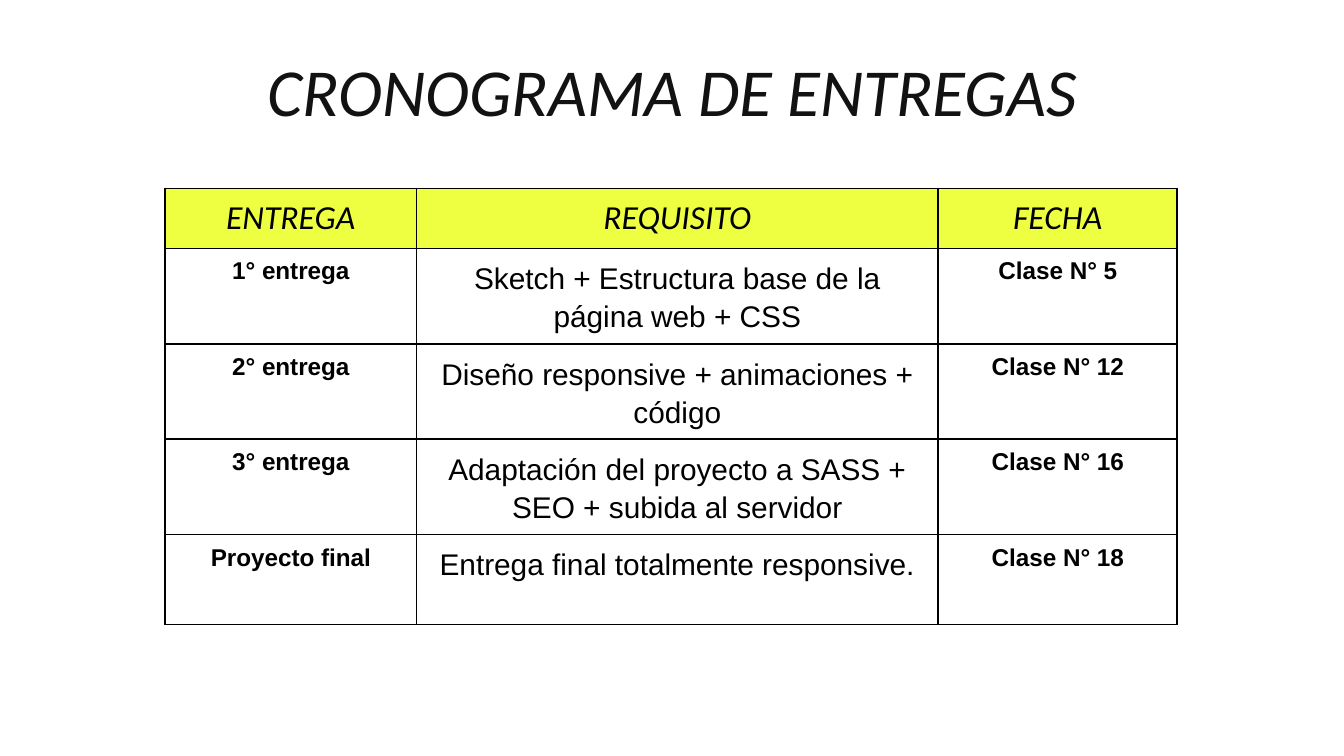
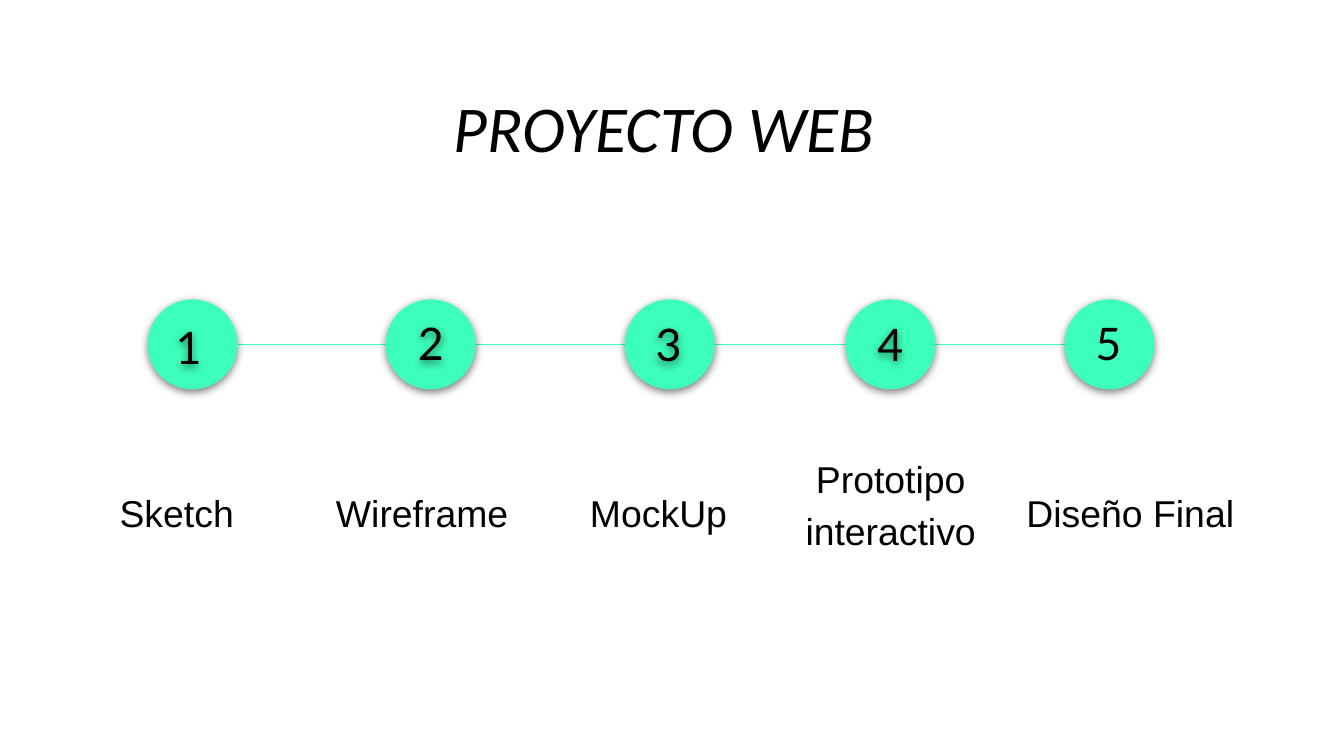
"""Builds the delivery schedule and the web project stages."""
from dataclasses import dataclass
from typing import Any, Optional

import lxml.etree
import pptx
import pptx.dml.color
import pptx.enum.shapes
import pptx.enum.text
import pptx.oxml.ns
import pptx.util

Cm = pptx.util.Cm
Pt = pptx.util.Pt
RGBColor = pptx.dml.color.RGBColor
Align = pptx.enum.text.PP_ALIGN
Anchor = pptx.enum.text.MSO_ANCHOR
qn = pptx.oxml.ns.qn

BLACK = RGBColor(0x00, 0x00, 0x00)
CHARCOAL = RGBColor(0x12, 0x12, 0x12)
YELLOW = RGBColor(0xEE, 0xFF, 0x41)
MINT = RGBColor(0x3D, 0xFF, 0xBC)

BOX_INSET = Cm(0.25)
CELL_INSET = Cm(0.18)
COLUMN_WIDTHS = (4.75, 9.86, 4.52)
ROW_HEIGHTS = (0.64, 1.7, 1.7, 1.04, 1.7)
CIRCLE_TOP = 5.66
CIRCLE_SIZE = 1.7
LABEL_MIDDLE = 9.47


@dataclass(frozen=True)
class TextStyle:
    """Font and paragraph settings of a text."""

    font: str
    size: float
    color: RGBColor = BLACK
    bold: bool = False
    italic: bool = False
    align: Optional[Align] = Align.CENTER
    line_spacing: Optional[float] = None
    space_after: Optional[float] = None


@dataclass(frozen=True)
class Box:
    """Position and size in centimetres."""

    left: float
    top: float
    width: float
    height: float


@dataclass(frozen=True)
class Stage:
    """One numbered stage with its label."""

    label: str
    circle_left: float
    number_dx: float
    number_dy: float
    label_left: float
    label_width: float
    label_height: float
    style: TextStyle
    grouped: bool = True


HEADER = TextStyle("Calibri", 18, italic=True)
KEY = TextStyle("Arial", 13, bold=True)
REQUIREMENT = TextStyle("Arial", 16, line_spacing=1.15)
NUMBER = TextStyle("Lato", 24, align=None)
LABEL = TextStyle("Arial", 20, align=Align.JUSTIFY, line_spacing=1.5, space_after=11)
WRAPPED_LABEL = TextStyle("Arial", 20, line_spacing=1.15, space_after=11)
SCHEDULE_TITLE = TextStyle("Calibri", 36, CHARCOAL, italic=True)
PROJECT_TITLE = TextStyle("Calibri", 35, italic=True, line_spacing=1.5, space_after=11)

SCHEDULE = (
    ("ENTREGA", "REQUISITO", "FECHA"),
    ("1° entrega", "Sketch + Estructura base de la página web + CSS", "Clase N° 5"),
    ("2° entrega", "Diseño responsive + animaciones + código", "Clase N° 12"),
    ("3° entrega", "Adaptación del proyecto a SASS + SEO + subida al servidor", "Clase N° 16"),
    ("Proyecto final", "Entrega final totalmente responsive.", "Clase N° 18"),
)

STAGES = (
    Stage("Sketch", 2.79, 0.28, 0.13, 2.01, 3.3, 2.97, LABEL),
    Stage("Wireframe", 7.29, 0.36, 0.06, 6.1, 4.45, 2.11, LABEL),
    Stage("MockUp", 11.81, 0.33, 0.08, 10.9, 3.53, 1.93, LABEL),
    Stage("Prototipo interactivo", 15.98, 0.35, 0.08, 14.61, 4.45, 2.49, WRAPPED_LABEL),
    Stage("Diseño Final", 20.12, 0.33, 0.06, 19.15, 4.9, 1.52, LABEL, grouped=False),
)


def write_text(text_frame: Any, text: str, style: TextStyle) -> None:
    """Put one styled paragraph in a text frame."""
    text_frame.text = text
    paragraph = text_frame.paragraphs[0]
    paragraph.alignment = style.align
    paragraph.line_spacing = style.line_spacing
    if style.space_after is not None:
        paragraph.space_after = Pt(style.space_after)
    for run in paragraph.runs:
        run.font.name = style.font
        run.font.size = Pt(style.size)
        run.font.bold = style.bold
        run.font.italic = style.italic
        run.font.color.rgb = style.color


def set_margins(target: Any, inset: int) -> None:
    """Give a cell or text frame equal margins."""
    target.margin_left = target.margin_right = inset
    target.margin_top = target.margin_bottom = inset


def add_text(shapes: Any, box: Box, text: str, style: TextStyle,
             anchor: Anchor = Anchor.MIDDLE) -> Any:
    """Add a wrapping text box."""
    shape = shapes.add_textbox(Cm(box.left), Cm(box.top), Cm(box.width), Cm(box.height))
    text_frame = shape.text_frame
    text_frame.word_wrap = True
    text_frame.vertical_anchor = anchor
    set_margins(text_frame, BOX_INSET)
    write_text(text_frame, text, style)
    return shape


def add_color(parent: Any, color: RGBColor) -> Any:
    """Append a colour element."""
    return lxml.etree.SubElement(parent, qn("a:srgbClr"), val=str(color))


def add_shadow(shape: Any) -> None:
    """Cast a soft shadow straight down."""
    shape.shadow.inherit = False
    effects = shape.element.spPr.find(qn("a:effectLst"))
    shadow = lxml.etree.SubElement(
        effects, qn("a:outerShdw"), blurRad=str(Pt(4.5)), dist=str(Pt(1.5)),
        dir="5400000", algn="bl", rotWithShape="0")
    lxml.etree.SubElement(add_color(shadow, BLACK), qn("a:alpha"), val="50000")


def add_borders(cell: Any) -> None:
    """Outline a cell on its four sides."""
    properties = cell._tc.get_or_add_tcPr()
    for side in ("lnL", "lnR", "lnT", "lnB"):
        line = lxml.etree.SubElement(properties, qn(f"a:{side}"), w=str(Pt(1)))
        add_color(lxml.etree.SubElement(line, qn("a:solidFill")), BLACK)


def add_schedule(slide: Any) -> None:
    """Add the delivery table."""
    table = slide.shapes.add_table(
        len(SCHEDULE), len(COLUMN_WIDTHS), Cm(3.12), Cm(3.56),
        Cm(sum(COLUMN_WIDTHS)), Cm(sum(ROW_HEIGHTS))).table
    table.first_row = table.horz_banding = False
    for column, width in zip(table.columns, COLUMN_WIDTHS):
        column.width = Cm(width)
    for row, height in zip(table.rows, ROW_HEIGHTS):
        row.height = Cm(height)
    for row_index, texts in enumerate(SCHEDULE):
        styles = (KEY, REQUIREMENT, KEY) if row_index else (HEADER,) * 3
        for column_index, (text, style) in enumerate(zip(texts, styles)):
            cell = table.cell(row_index, column_index)
            set_margins(cell, CELL_INSET)
            add_borders(cell)
            if row_index:
                cell.fill.background()
            else:
                cell.fill.solid()
                cell.fill.fore_color.rgb = YELLOW
            write_text(cell.text_frame, text, style)


def add_timeline(slide: Any) -> None:
    """Join the first circle to the last."""
    middle = Cm(CIRCLE_TOP + CIRCLE_SIZE / 2)
    connector = slide.shapes.add_connector(
        pptx.enum.shapes.MSO_CONNECTOR.STRAIGHT,
        Cm(STAGES[0].circle_left + CIRCLE_SIZE), middle, Cm(STAGES[-1].circle_left), middle)
    connector.line.color.rgb = MINT
    connector.line.width = Pt(0.75)
    lxml.etree.SubElement(connector.element.spPr, qn("a:effectLst"))


def add_stage(slide: Any, number: int, stage: Stage) -> None:
    """Add a numbered circle and its label."""
    shapes = slide.shapes.add_group_shape().shapes if stage.grouped else slide.shapes
    circle = shapes.add_shape(
        pptx.enum.shapes.MSO_SHAPE.OVAL, Cm(stage.circle_left), Cm(CIRCLE_TOP),
        Cm(CIRCLE_SIZE), Cm(CIRCLE_SIZE))
    circle.fill.solid()
    circle.fill.fore_color.rgb = MINT
    circle.line.fill.background()
    add_shadow(circle)
    number_box = Box(stage.circle_left + stage.number_dx, CIRCLE_TOP + stage.number_dy, 0.76, 1.02)
    number_shape = add_text(shapes, number_box, str(number), NUMBER, Anchor.TOP)
    if stage.grouped:
        add_shadow(number_shape)
    label_box = Box(stage.label_left, LABEL_MIDDLE - stage.label_height / 2,
                    stage.label_width, stage.label_height)
    add_text(slide.shapes, label_box, stage.label, stage.style)


def main() -> None:
    """Build and save the presentation."""
    presentation = pptx.Presentation()
    presentation.slide_width = Cm(25.4)
    presentation.slide_height = Cm(14.29)
    blank = presentation.slide_layouts[6]

    slide = presentation.slides.add_slide(blank)
    add_schedule(slide)
    add_text(slide.shapes, Box(3.89, 0.33, 17.63, 2.74), "CRONOGRAMA DE ENTREGAS", SCHEDULE_TITLE)

    slide = presentation.slides.add_slide(blank)
    add_timeline(slide)
    add_text(slide.shapes, Box(3.63, 0.66, 18.11, 1.93), "PROYECTO WEB ", PROJECT_TITLE, Anchor.TOP)
    for number, stage in enumerate(STAGES, start=1):
        add_stage(slide, number, stage)

    presentation.save("out.pptx")


if __name__ == "__main__":
    main()
